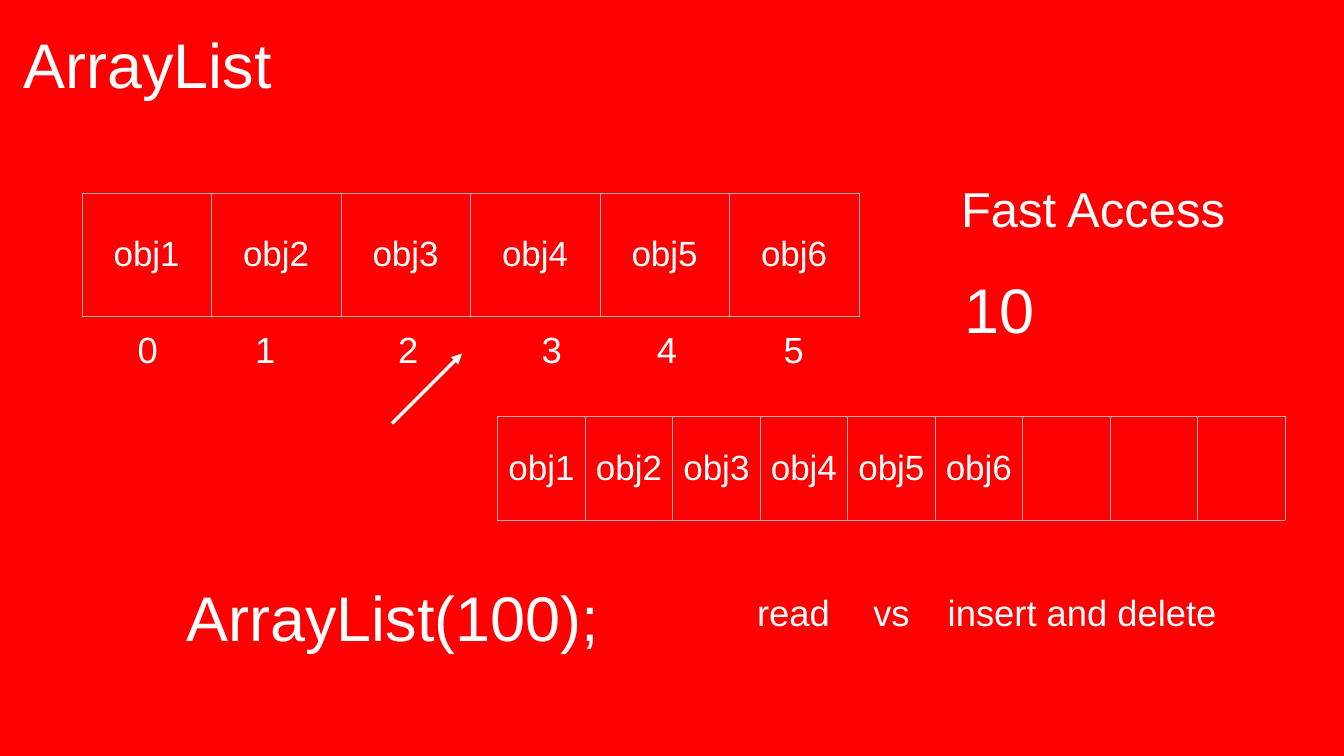
from lxml import etree
from pptx import Presentation
from pptx import util as u
from pptx.dml.color import RGBColor
from pptx.enum import shapes, text
from pptx.oxml import ns

PX = 12700
FONT = "Arial"
RED = RGBColor(0xFF, 0x00, 0x00)
WHITE = RGBColor(0xFF, 0xFF, 0xFF)
GREY = RGBColor(0xB4, 0xB4, 0xB4)
INSET = 4

OBJECTS = [f"obj{n}" for n in range(1, 7)]
INDEX_BOXES = [(192, 38), (360, 38), (564, 38), (769, 38), (917, 72), (1098, 72)]
OPERATIONS = [("read", 1076, 115), ("vs", 1243, 61), ("insert and delete", 1346, 400)]


def px(*lengths):
    return [u.Emu(n * PX) for n in lengths]


def style_paragraph(p, size):
    p.alignment = text.PP_ALIGN.CENTER
    p.font.name = FONT
    p.font.size = u.Pt(size)
    p.font.color.rgb = WHITE


def add_label(s, words, x, y, w, h, size, wrap=False):
    tf = s.shapes.add_textbox(*px(x, y, w, h)).text_frame
    tf.word_wrap = wrap
    tf.auto_size = text.MSO_AUTO_SIZE.SHAPE_TO_FIT_TEXT
    tf.vertical_anchor = text.MSO_ANCHOR.MIDDLE
    tf.margin_left = tf.margin_top = tf.margin_right = tf.margin_bottom = u.Pt(INSET)
    p = tf.paragraphs[0]
    p.text = words
    style_paragraph(p, size)


def add_borders(cell):
    tcPr = cell._tc.get_or_add_tcPr()
    for i, side in enumerate(("lnL", "lnR", "lnT", "lnB")):
        ln = etree.Element(ns.qn(f"a:{side}"), w=str(u.Pt(1)))
        fill = etree.SubElement(ln, ns.qn("a:solidFill"))
        etree.SubElement(fill, ns.qn("a:srgbClr"), val=str(GREY))
        tcPr.insert(i, ln)


def add_array(s, values, x, y, cell_w, h):
    count = len(values)
    table = s.shapes.add_table(1, count, *px(x, y, cell_w * count, h)).table
    table.first_row = table.horz_banding = False
    for cell, value in zip(table.iter_cells(), values):
        cell.fill.background()
        cell.vertical_anchor = text.MSO_ANCHOR.MIDDLE
        cell.margin_left = cell.margin_top = u.Pt(INSET)
        cell.margin_right = cell.margin_bottom = u.Pt(INSET)
        p = cell.text_frame.paragraphs[0]
        p.text = value
        style_paragraph(p, 50)
        add_borders(cell)


def add_arrow(s, x1, y1, x2, y2):
    arrow = s.shapes.add_connector(shapes.MSO_CONNECTOR.STRAIGHT, *px(x1, y1, x2, y2))
    arrow.line.color.rgb = WHITE
    arrow.line.width = u.Pt(5)
    etree.SubElement(arrow.line._get_or_add_ln(), ns.qn("a:tailEnd"), type="triangle")
    etree.SubElement(arrow._element.spPr, ns.qn("a:effectLst"))


def main():
    prs = Presentation()
    prs.slide_width, prs.slide_height = px(1920, 1080)
    s = prs.slides.add_slide(prs.slide_layouts[6])
    s.background.fill.solid()
    s.background.fill.fore_color.rgb = RED

    add_label(s, "ArrayList", 29, 32, 364, 116, 90)
    add_array(s, OBJECTS, 117, 276, 185, 176)
    add_array(s, OBJECTS + [""] * 3, 711, 595, 125, 148)
    add_label(s, "ArrayList(100);", 262, 823, 599, 116, 90)
    add_label(s, "10", 1373, 382, 109, 116, 90)
    add_label(s, "Fast Access", 1364, 251, 395, 92, 70)
    add_arrow(s, 560, 605, 660, 505)
    for i, (x, w) in enumerate(INDEX_BOXES):
        add_label(s, str(i), x, 464, w, 70, 52, wrap=w == 72)
    for words, x, w in OPERATIONS:
        add_label(s, words, x, 839, w, 70, 52)

    prs.save("out.pptx")


if __name__ == "__main__":
    main()
